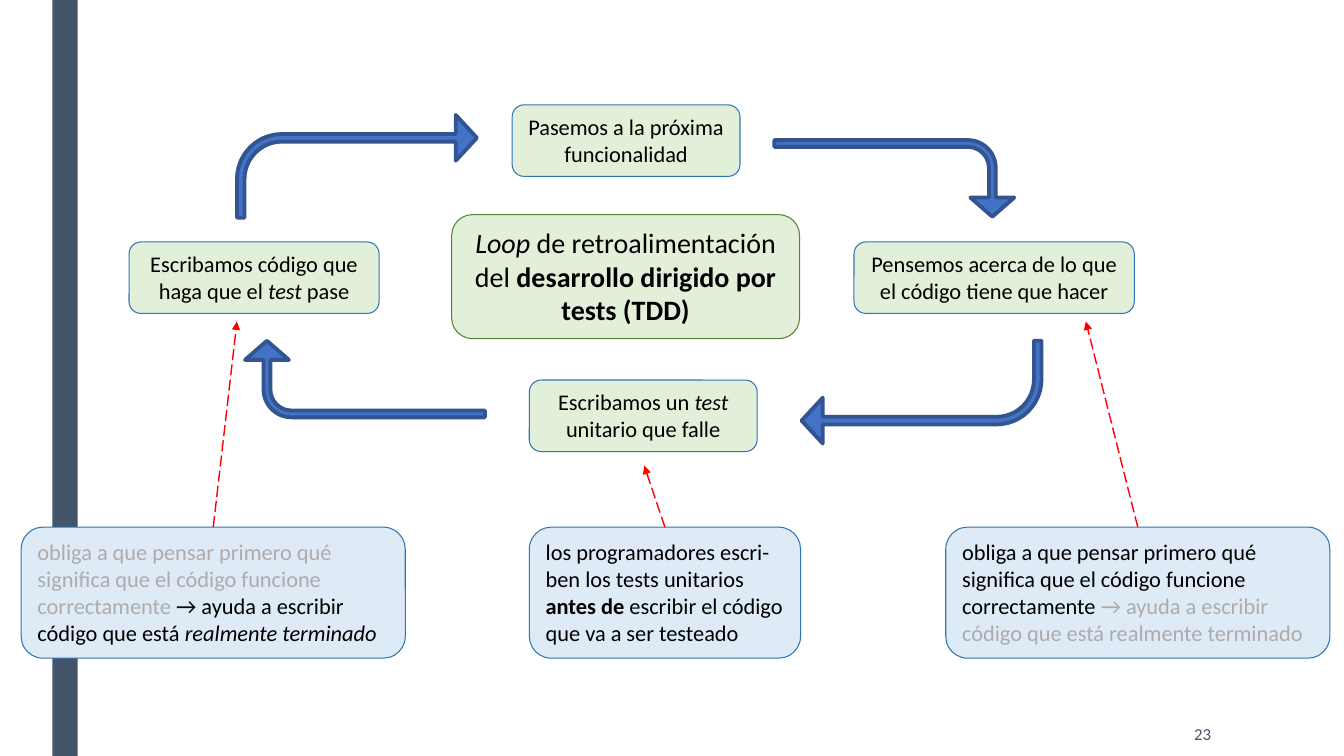
"""Build the slide of the test-driven development feedback loop."""
from pptx import Presentation
from pptx.dml.color import RGBColor
from pptx.enum.dml import MSO_LINE
from pptx.enum.shapes import MSO_CONNECTOR, MSO_SHAPE
from pptx.enum.text import MSO_ANCHOR, MSO_AUTO_SIZE, PP_ALIGN
from pptx.oxml.ns import qn
from pptx.util import Emu, Pt
from lxml.etree import SubElement

PX = 9144
SLATE = RGBColor(0x44, 0x54, 0x6A)
GREEN = RGBColor(0xE2, 0xF0, 0xD9)
DARK_GREEN = RGBColor(0x54, 0x82, 0x35)
PALE_BLUE = RGBColor(0xDE, 0xEB, 0xF7)
BLUE = RGBColor(0x2E, 0x75, 0xB6)
ARROW = RGBColor(0x44, 0x72, 0xC4)
ARROW_EDGE = RGBColor(0x32, 0x54, 0x91)
RED = RGBColor(0xFF, 0x00, 0x00)
BLACK = RGBColor(0x00, 0x00, 0x00)
GRAY = RGBColor(0xAF, 0xAB, 0xAB)

prs = Presentation()
prs.slide_width, prs.slide_height = Emu(1333 * PX), Emu(750 * PX)
s = prs.slides.add_slide(prs.slide_layouts[6])


def add_shape(kind, box, fill, line=None, width=0.75):
    sp = s.shapes.add_shape(kind, *(Emu(v * PX) for v in box))
    sp.shadow.inherit = False
    sp.fill.solid()
    sp.fill.fore_color.rgb = fill
    if line is None:
        sp.line.fill.background()
    else:
        sp.line.color.rgb = line
        sp.line.width = Pt(width)
    return sp


def add_card(box, runs, fill, line, size, align):
    sp = add_shape(MSO_SHAPE.ROUNDED_RECTANGLE, box, fill, line)
    tf = sp.text_frame
    tf.word_wrap = True
    tf.auto_size = MSO_AUTO_SIZE.SHAPE_TO_FIT_TEXT
    tf.vertical_anchor = MSO_ANCHOR.TOP
    p = tf.paragraphs[0]
    p.alignment = align
    p.font.size = Pt(size)
    p.font.name = "Calibri"
    for text, style in runs:
        r = p.add_run()
        r.text = text
        r.font.size = Pt(size)
        r.font.name = "Calibri"
        r.font.color.rgb = GRAY if style == "gray" else BLACK
        if style == "italic":
            r.font.italic = True
        if style == "bold":
            r.font.bold = True
    return sp


add_shape(MSO_SHAPE.RECTANGLE, (52, 0, 25, 750), SLATE)

tb = s.shapes.add_textbox(*(Emu(v * PX) for v in (1036, 706, 175, 44)))
tf = tb.text_frame
tf.word_wrap = True
tf.vertical_anchor = MSO_ANCHOR.MIDDLE
p = tf.paragraphs[0]
p.text = "23"
p.alignment = PP_ALIGN.RIGHT
p.font.size = Pt(12)
p.font.name = "Calibri"
p.font.color.rgb = SLATE

steps = [
    (508, 104, 226, [("Pasemos a la próxima funcionalidad", "")]),
    (525, 377, 226, [("Escribamos un ", ""), ("test", "italic"),
                     (" unitario que falle", "")]),
    (847, 240, 278, [("Pensemos acerca de lo que el código tiene que hacer", "")]),
    (128, 240, 248, [("Escribamos código que haga que el ", ""),
                     ("test", "italic"), (" pase", "")]),
]
for x, y, w, runs in steps:
    add_card((x, y, w, 71), runs, GREEN, BLUE, 16, PP_ALIGN.CENTER)

LONG_ARROW = (238, 102, (0.074, 0.223, 0.206, 0.438))
SHORT_ARROW = (76, 238, (0.089, 0.287, 0.25, 0.363))
loop_arrows = [
    (235, 114, 0, LONG_ARROW),
    (849, 58, 90, SHORT_ARROW),
    (324, 257, 270, SHORT_ARROW),
    (795, 338, 180, LONG_ARROW),
]
for x, y, rotation, (w, h, adjustments) in loop_arrows:
    sp = add_shape(MSO_SHAPE.BENT_ARROW, (x, y, w, h), ARROW, ARROW_EDGE, 2.75)
    sp.rotation = rotation
    for i, value in enumerate(adjustments):
        sp.adjustments[i] = value

title = [("Loop", "italic"), (" de retroalimentación del ", ""),
         ("desarrollo dirigido por tests (TDD)", "bold")]
add_card((448, 213, 345, 123), title, GREEN, DARK_GREEN, 20, PP_ALIGN.CENTER)

THINK = ("obliga a que pensar primero qué significa que el código "
         "funcione correctamente ")
HELP = "→ ayuda a escribir código que está "
DONE = "realmente terminado"
notes = [
    (525, 269, (639, 462), [("los programadores escri-ben los tests unitarios ", ""),
                            ("antes de", "bold"),
                            (" escribir el código que va a ser testeado", "")]),
    (938, 381, (1077, 319), [(THINK, ""), (HELP + DONE, "gray")]),
    (21, 381, (235, 319), [(THINK, "gray"), (HELP, ""), (DONE, "italic")]),
]
for x, w, (tip_x, tip_y), runs in notes:
    card = add_card((x, 523, w, 130), runs, PALE_BLUE, BLUE, 16, PP_ALIGN.LEFT)
    cx = s.shapes.add_connector(MSO_CONNECTOR.STRAIGHT, Emu((x + w // 2) * PX),
                                Emu(523 * PX), Emu(tip_x * PX), Emu(tip_y * PX))
    cx.begin_connect(card, 0)
    cx.line.color.rgb = RED
    cx.line.width = Pt(1)
    cx.line.dash_style = MSO_LINE.LONG_DASH
    SubElement(cx.line._get_or_add_ln(), qn("a:tailEnd"), type="triangle")
    SubElement(cx._element.spPr, qn("a:effectLst"))

prs.save("out.pptx")
